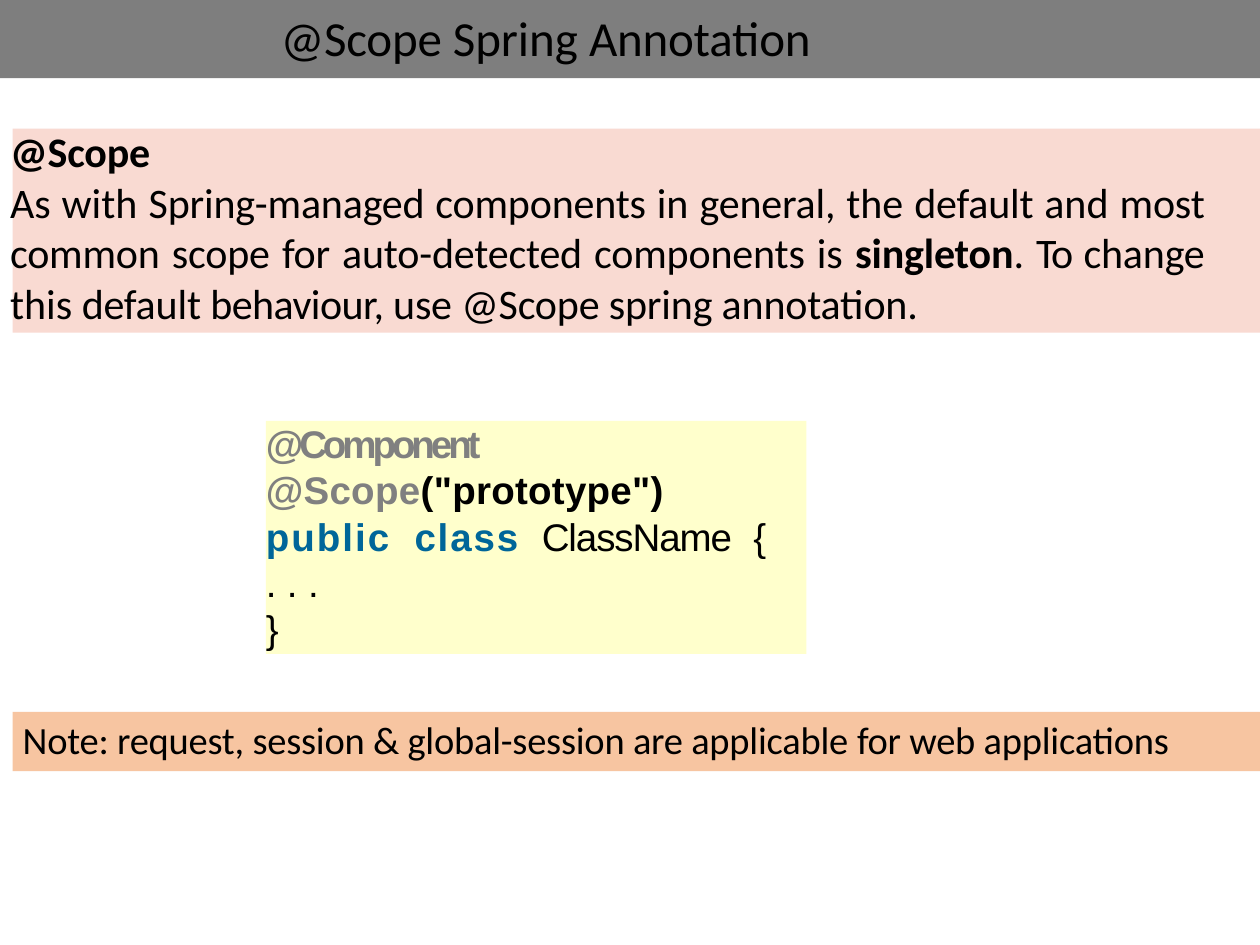
import pptx
import pptx.util
import pptx.dml.color
import pptx.enum.shapes
import pptx.enum.text
import pptx.oxml
import pptx.oxml.ns

Inches = pptx.util.Inches
Pt = pptx.util.Pt
ALIGN = pptx.enum.text.PP_ALIGN
ANCHOR = pptx.enum.text.MSO_ANCHOR

COLORS = {"header": "7E7E7E", "scope": "F9DAD2", "note": "F7C5A1", "code": "FFFFCC",
          "text": "000000", "annotation": "808080", "keyword": "006699"}

# Content: each run is (text, letter spacing in points, format changes)
BOLD = {"bold": True}
TITLE = [{"align": ALIGN.CENTER,
          "runs": [("@Scope ", -0.1), ("Spring ", 0), ("Annotation", -0.1)]}]
SCOPE = [
    {"runs": [("@Scope", -0.1, BOLD)]},
    {"align": ALIGN.JUSTIFY, "before": 0.1, "runs": [
        ("As with ", 0), ("Spring-managed components ", -0.1), ("in ", 0),
        ("general, ", -0.1), ("the ", 0), ("default ", -0.1), ("and ", 0),
        ("most common scope ", -0.1), ("for ", -0.2),
        ("auto-detected components ", -0.1), ("is ", 0),
        ("singleton", -0.1, BOLD), (". ", -0.1), ("To ", -1.1),
        ("change ", -0.1), ("this ", 0), ("default ", -0.1),
        ("behaviour, ", -0.3), ("use @Scope spring annotation.", -0.1)]},
]
NOTE = [{"runs": [("Note: request, session & global-session are applicable ", -0.1),
                  ("for ", -0.2), ("web applications", -0.1)]}]
ANNOTATION = {"bold": True, "color": "annotation"}
KEYWORD = {"bold": True, "color": "keyword"}
CODE = [
    {"line": 25.9, "runs": [("@Component", -2.3, ANNOTATION)]},
    {"line": 26.4, "runs": [("@Scope", 0.2, ANNOTATION), ('("prototype")', 0.2, BOLD)]},
    {"before": 0.1, "tabs": [1.18, 2.19, 3.87], "runs": [
        ("public\t", 1.2, KEYWORD), ("class\t", 1.1, KEYWORD),
        ("ClassName\t", -0.6), ("{", 4.7)]},
    {"runs": [("...", 6)]},
    {"runs": [("}", 4.7)]},
]

# Places: left, top, width, height
BANDS = [("header", (0, 0, 10, 0.62)), ("scope", (0.1, 1.02, 9.9, 1.62)),
         ("note", (0.1, 5.65, 9.9, 0.47))]
TITLE_BOX = (1.17, 0.04, 6.32, 0.49)
TEXT_BOXES = [(SCOPE, (0.08, 0.99, 9.48, 1.63), 24), (NOTE, (0.18, 5.67, 9.25, 0.39), 22)]
CODE_BOX = (2.11, 3.34, 4.29, 1.85)


def add_panel(slide, color, box):
    shape = slide.shapes.add_shape(pptx.enum.shapes.MSO_SHAPE.RECTANGLE, *map(Inches, box))
    shape.shadow.inherit = False
    shape.fill.solid()
    shape.fill.fore_color.rgb = pptx.dml.color.RGBColor.from_string(COLORS[color])
    shape.line.fill.background()
    return shape


def add_tabs(paragraph, positions):
    properties = paragraph._p.get_or_add_pPr()
    tab_list = pptx.oxml.parse_xml(f"<a:tabLst {pptx.oxml.ns.nsdecls('a')}/>")
    for position in positions:
        tab = tab_list.makeelement(pptx.oxml.ns.qn("a:tab"),
                                   {"pos": str(Inches(position)), "algn": "l"})
        tab_list.append(tab)
    properties.append(tab_list)


def write_text(shape, paragraphs, size, font="Calibri", top_inset=0.01, anchor=ANCHOR.TOP):
    frame = shape.text_frame
    frame_format = {"word_wrap": True, "vertical_anchor": anchor, "margin_left": 0,
                    "margin_top": Inches(top_inset), "margin_right": 0, "margin_bottom": 0,
                    "auto_size": pptx.enum.text.MSO_AUTO_SIZE.SHAPE_TO_FIT_TEXT}
    for name, value in frame_format.items():
        setattr(frame, name, value)
    for index, content in enumerate(paragraphs):
        paragraph = frame.add_paragraph() if index else frame.paragraphs[0]
        add_tabs(paragraph, content["tabs"]) if "tabs" in content else None
        paragraph.alignment = content.get("align", ALIGN.LEFT)
        paragraph.space_before = Pt(content.get("before", 0))
        if "line" in content:
            paragraph.line_spacing = Pt(content["line"])
        for text, spacing, *changes in content["runs"]:
            style = {"bold": False, "color": "text", **(changes[0] if changes else {})}
            run = paragraph.add_run()
            run.text = text
            font_format = {"name": font, "size": Pt(size), "bold": style["bold"]}
            for name, value in font_format.items():
                setattr(run.font, name, value)
            run.font.color.rgb = pptx.dml.color.RGBColor.from_string(COLORS[style["color"]])
            run._r.get_or_add_rPr().set("spc", str(round(spacing * 100)))


def main():
    presentation = pptx.Presentation()
    presentation.slide_width, presentation.slide_height = Inches(10), Inches(7.5)
    slide = presentation.slides.add_slide(presentation.slide_layouts[5])

    # Coloured bands, with the title brought in front of them
    for color, box in BANDS:
        add_panel(slide, color, box)
    title = slide.shapes.title
    slide.shapes._spTree.append(title._element)
    title.left, title.top, title.width, title.height = map(Inches, TITLE_BOX)
    write_text(title, TITLE, 28, anchor=ANCHOR.MIDDLE)

    # Explanation and note
    for paragraphs, box, size in TEXT_BOXES:
        write_text(slide.shapes.add_textbox(*map(Inches, box)), paragraphs, size)

    # Code sample
    write_text(add_panel(slide, "code", CODE_BOX), CODE, 22, font="Arial", top_inset=0)

    presentation.save("out.pptx")


if __name__ == "__main__":
    main()
